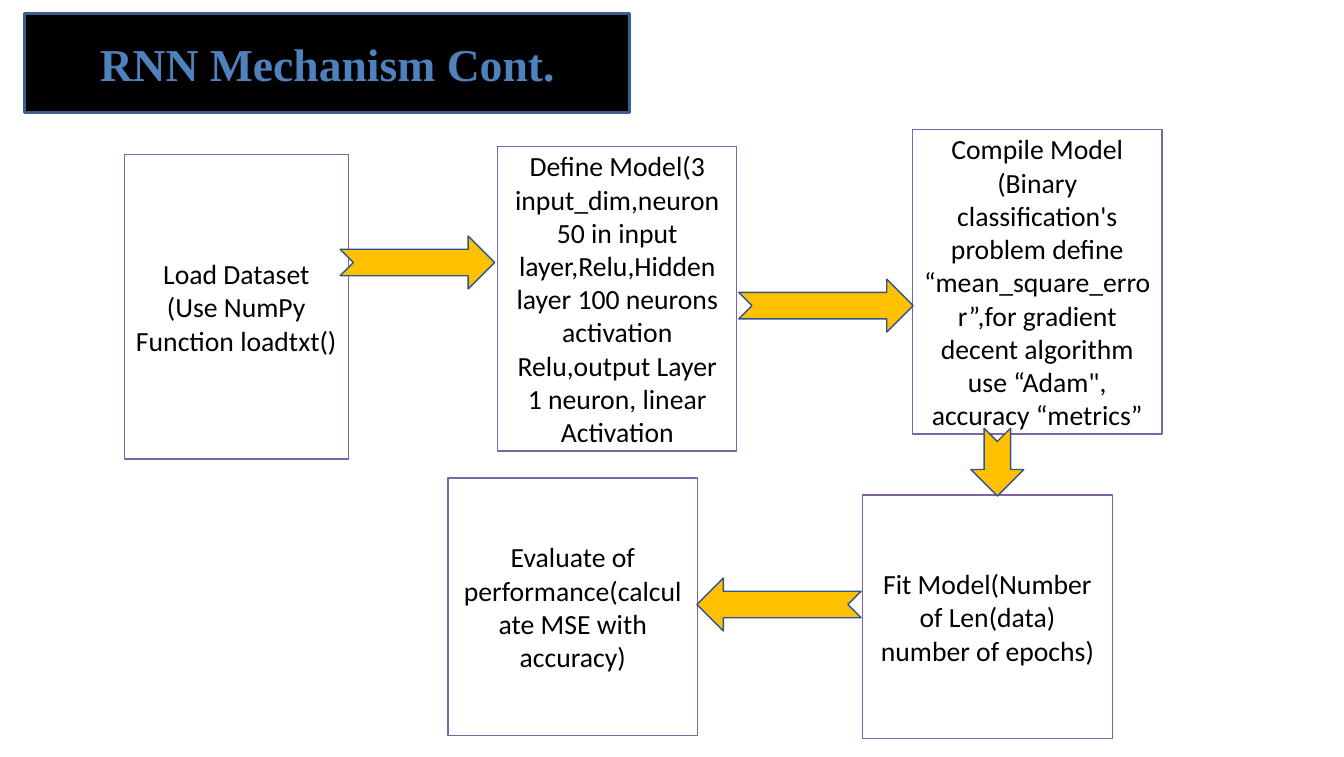
from pptx import Presentation
from pptx.dml.color import RGBColor
from pptx.enum.shapes import MSO_SHAPE
from pptx.enum.text import MSO_ANCHOR, PP_ALIGN
from pptx.util import Cm, Pt

RECTANGLE = MSO_SHAPE.RECTANGLE
NOTCHED_ARROW = MSO_SHAPE.NOTCHED_RIGHT_ARROW
MIDDLE = MSO_ANCHOR.MIDDLE
CENTER = PP_ALIGN.CENTER

BLACK = RGBColor(0x00, 0x00, 0x00)
WHITE = RGBColor(0xFF, 0xFF, 0xFF)
PURPLE = RGBColor(0x80, 0x64, 0xA2)
GOLD = RGBColor(0xFF, 0xC0, 0x00)
ARROW_EDGE = RGBColor(0x31, 0x53, 0x8F)
TITLE_EDGE = RGBColor(0x3A, 0x5F, 0x8C)
TITLE_BLUE = RGBColor(0x4F, 0x81, 0xBD)

CM_PER_INCH = 2.54
SLIDE_WIDTH = Cm(13.5 * CM_PER_INCH)
SLIDE_HEIGHT = Cm(7.6 * CM_PER_INCH)
ARROW_THICKNESS = 1.35

STEPS = [
    ((3.17, 3.94, 5.72, 7.77), ["Load Dataset", "(Use NumPy", "Function loadtxt()"]),
    ((12.7, 3.73, 6.1, 7.77), [
        "Define Model(3 input_dim,neuron 50 in input layer,Relu,Hidden layer "
        "100 neurons activation Relu,output Layer 1 neuron, linear Activation"]),
    ((23.28, 3.3, 6.37, 7.77), [
        "Compile Model",
        "(Binary classification's problem define “mean_square_error”,for "
        "gradient decent algorithm use “Adam\", accuracy “metrics”"]),
    ((22.01, 12.62, 6.37, 6.22), ["Fit Model(Number of Len(data) number of epochs)"]),
    ((11.43, 12.19, 6.37, 6.56), ["Evaluate of performance(calculate MSE with accuracy)"]),
]

ARROWS = [
    (8.68, 6.02, 3.94, 0),
    (18.85, 7.12, 4.45, 0),
    (24.58, 11.11, 1.73, 90),
    (17.78, 14.74, 4.19, 180),
]


def add_outlined_shape(slide, kind, box, fill, edge, edge_width=1):
    """Add a flat preset shape with a solid fill and outline."""
    shape = slide.shapes.add_shape(kind, *map(Cm, box))
    shape.shadow.inherit = False
    shape.fill.solid()
    shape.fill.fore_color.rgb = fill
    shape.line.color.rgb = edge
    shape.line.width = Pt(edge_width)
    return shape


def write_centered(shape, lines, font_name, size, color, bold=False):
    """Fill a shape with centred paragraphs in one font."""
    frame = shape.text_frame
    frame.word_wrap = True
    frame.vertical_anchor = MIDDLE
    frame.text = "\n".join(lines)
    for paragraph in frame.paragraphs:
        paragraph.alignment = CENTER
        paragraph.font.name = font_name
        paragraph.font.size = Pt(size)
        paragraph.font.bold = bold
        paragraph.font.color.rgb = color


def add_step(slide, box, lines):
    """Add one step of the flow."""
    step = add_outlined_shape(slide, RECTANGLE, box, WHITE, PURPLE)
    write_centered(step, lines, "Calibri", 20, BLACK)


def add_arrow(slide, left, top, length, rotation):
    """Add a notched arrow turned clockwise by the rotation."""
    box = (left, top, length, ARROW_THICKNESS)
    arrow = add_outlined_shape(slide, NOTCHED_ARROW, box, GOLD, ARROW_EDGE)
    arrow.rotation = rotation


def add_title(slide, text):
    """Add the title banner."""
    banner = add_outlined_shape(
        slide, RECTANGLE, (0.63, 0.34, 15.44, 2.54), BLACK, TITLE_EDGE, 2)
    write_centered(banner, [text], "Times New Roman", 33, TITLE_BLUE, bold=True)


def main():
    """Build and save the slide."""
    presentation = Presentation()
    presentation.slide_width = SLIDE_WIDTH
    presentation.slide_height = SLIDE_HEIGHT
    slide = presentation.slides.add_slide(presentation.slide_layouts[6])
    for box, lines in STEPS:
        add_step(slide, box, lines)
    for arrow in ARROWS:
        add_arrow(slide, *arrow)
    add_title(slide, "RNN Mechanism Cont.")
    presentation.save("out.pptx")


if __name__ == "__main__":
    main()
